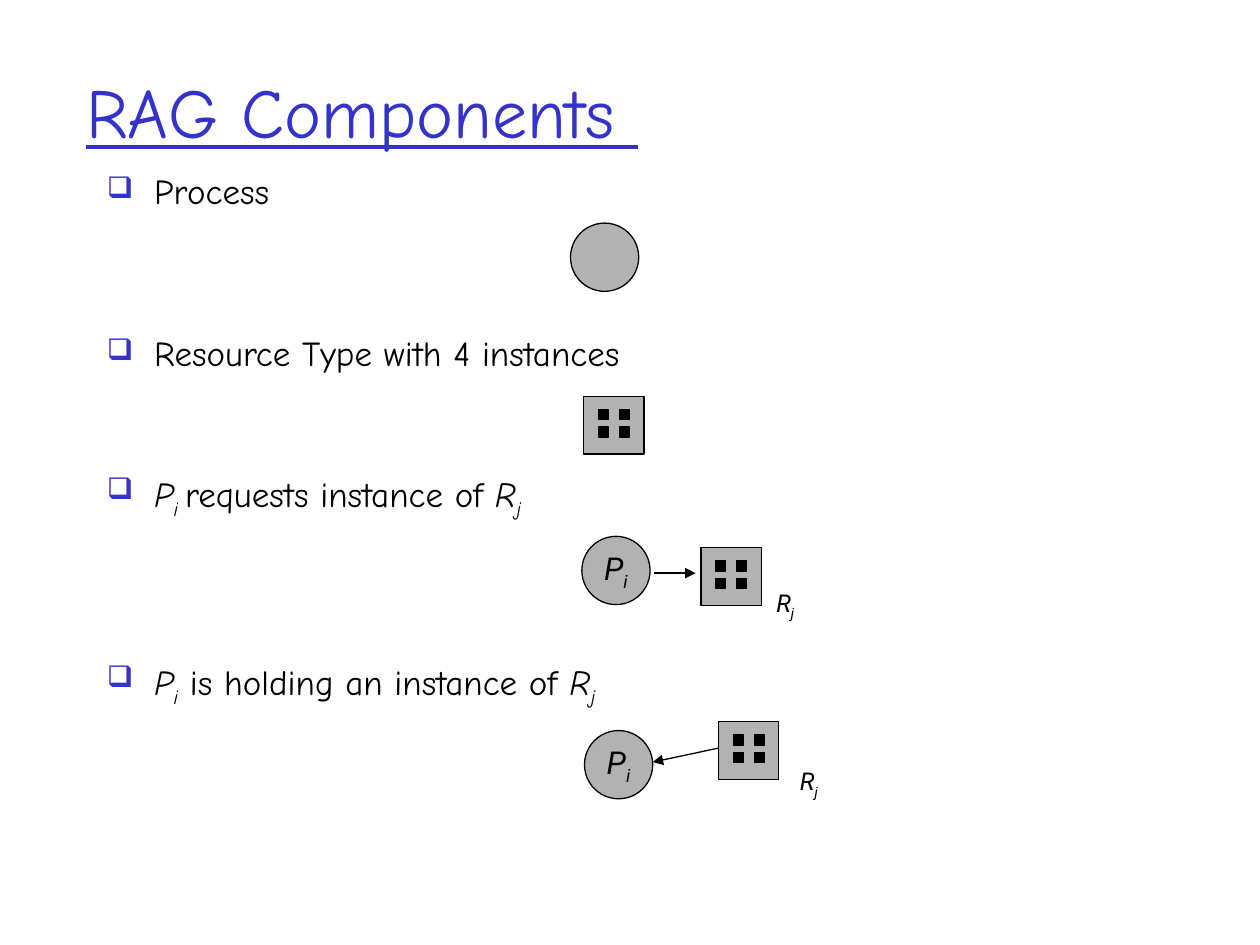
from lxml import etree
from pptx import Presentation
from pptx import util as u
from pptx.dml.color import RGBColor
from pptx.enum import shapes, text
from pptx.oxml.ns import qn

BLUE, BLACK, GRAY = "3333CC", "000000", "B2B2B2"
HAND, SANS = "Comic Neue", "Roboto"
PROCESS = [("P", "italic"), ("i", "sub")]
RESOURCE = [("R", "italic"), ("j", "sub")]


def color(value):
    """Return the colour of a hex string."""
    return RGBColor.from_string(value)


def place(shape, left, top, width, height):
    """Move and size a shape in points."""
    shape.left, shape.top = u.Pt(left), u.Pt(top)
    shape.width, shape.height = u.Pt(width), u.Pt(height)


def set_font(para, name, size, value):
    """Format the font of a whole paragraph."""
    para.font.name, para.font.size = name, u.Pt(size)
    para.font.color.rgb = color(value)


def add_spans(para, spans):
    """Add runs that are plain, italic or italic subscripts."""
    for words, style in spans:
        span = para.add_run()
        span.text = words
        if style != "plain":
            span.font.italic = True
        if style == "sub":
            span.font._element.set("baseline", "-25000")


def add_bullet(para):
    """Give a paragraph a hanging blue box bullet."""
    props = para._p.get_or_add_pPr()
    props.set("marL", str(u.Pt(27)))
    props.set("indent", str(u.Pt(-27)))
    bullet_color = etree.SubElement(props, qn("a:buClr"))
    etree.SubElement(bullet_color, qn("a:srgbClr")).set("val", BLUE)
    etree.SubElement(props, qn("a:buSzPct")).set("val", "85000")
    etree.SubElement(props, qn("a:buChar")).set("char", "\u2751")


def add_title(page, words):
    """Format the title placeholder as an underlined heading."""
    title = page.shapes.title
    place(title, 42, 18, 612, 90)
    title.text_frame.vertical_anchor = text.MSO_ANCHOR.MIDDLE
    para = title.text_frame.paragraphs[0]
    para.alignment = text.PP_ALIGN.LEFT
    set_font(para, HAND, 40, BLUE)
    para.font.underline = True
    add_spans(para, [(words, "plain")])


def add_list(page, items):
    """Add the bulleted list, each item with its own space before."""
    box = page.shapes.add_textbox(u.Pt(54), u.Pt(96), u.Pt(612), u.Pt(391))
    frame = box.text_frame
    frame.word_wrap = True
    for index, (gap, spans) in enumerate(items):
        para = frame.add_paragraph() if index else frame.paragraphs[0]
        para.line_spacing, para.space_before = 0.9, u.Pt(gap)
        add_bullet(para)
        set_font(para, HAND, 20, BLACK)
        add_spans(para, spans)


def add_symbol(frame, spans, size, gap=0):
    """Write a centred symbol with a subscript."""
    frame.word_wrap = False
    frame.vertical_anchor = text.MSO_ANCHOR.MIDDLE
    para = frame.paragraphs[0]
    para.alignment = text.PP_ALIGN.CENTER
    para.space_before = u.Pt(gap)
    set_font(para, SANS, size, BLACK)
    add_spans(para, spans)


def add_solid(parent, kind, left, top, width, height, fill):
    """Add a filled shape with a thin black outline."""
    shape = parent.shapes.add_shape(kind, u.Pt(left), u.Pt(top), u.Pt(width), u.Pt(height))
    shape.shadow.inherit = False
    shape.fill.solid()
    shape.fill.fore_color.rgb = color(fill)
    shape.line.color.rgb = color(BLACK)
    shape.line.width = u.Pt(0.75)
    return shape


def add_process(page, left, top, spans=()):
    """Add a process circle, with a symbol if spans are given."""
    circle = add_solid(page, shapes.MSO_SHAPE.OVAL, left, top, 39, 39, GRAY)
    if spans:
        add_symbol(circle.text_frame, spans, 18)


def add_resource(page, left, top):
    """Add a resource box holding a grid of four instances."""
    group = page.shapes.add_group_shape()
    square = shapes.MSO_SHAPE.RECTANGLE
    add_solid(group, square, left, top, 34.5, 33, GRAY)
    for row in range(2):
        for column in range(2):
            add_solid(group, square, left + 8.5 + 12 * column, top + 7.5 + 10 * row, 5.75, 5.75, BLACK)


def add_label(page, left, top, spans):
    """Add a small symbol beside a resource."""
    box = page.shapes.add_textbox(u.Pt(left), u.Pt(top), u.Pt(26.5), u.Pt(24))
    add_symbol(box.text_frame, spans, 14, 7)


def add_arrow(page, start, end):
    """Add a thin black arrow between two points."""
    points = [u.Pt(value) for value in (*start, *end)]
    arrow = page.shapes.add_connector(shapes.MSO_CONNECTOR.STRAIGHT, *points)
    arrow.line.color.rgb = color(BLACK)
    arrow.line.width = u.Pt(0.75)
    etree.SubElement(arrow.line._get_or_add_ln(), qn("a:tailEnd")).set("type", "triangle")
    etree.SubElement(arrow._element.spPr, qn("a:effectLst"))


def main():
    """Build the slide on resource allocation graph components."""
    deck = Presentation()
    deck.slide_width, deck.slide_height = u.Pt(720), u.Pt(540)
    page = deck.slides.add_slide(deck.slide_layouts[5])
    add_title(page, "RAG Components ")
    add_list(page, [
        (4, [("Process", "plain")]),
        (71, [("Resource Type with 4 instances", "plain")]),
        (56.5, [("P", "italic"), ("i ", "sub"), ("requests instance of ", "plain"), *RESOURCE]),
        (83, [*PROCESS, (" is holding an instance of ", "plain"), *RESOURCE]),
    ])
    add_process(page, 326, 127.5)
    add_resource(page, 333.5, 226.5)

    add_process(page, 332.5, 306.5, PROCESS)
    add_arrow(page, (373.5, 327.5), (397.5, 327.5))
    add_resource(page, 400.5, 313)
    add_label(page, 435.5, 333.5, RESOURCE)

    add_process(page, 334, 417.5, PROCESS)
    add_arrow(page, (410.5, 427.5), (373, 435.5))
    add_resource(page, 410.5, 412.5)
    add_label(page, 449, 435.5, RESOURCE)
    deck.save("out.pptx")


main()
